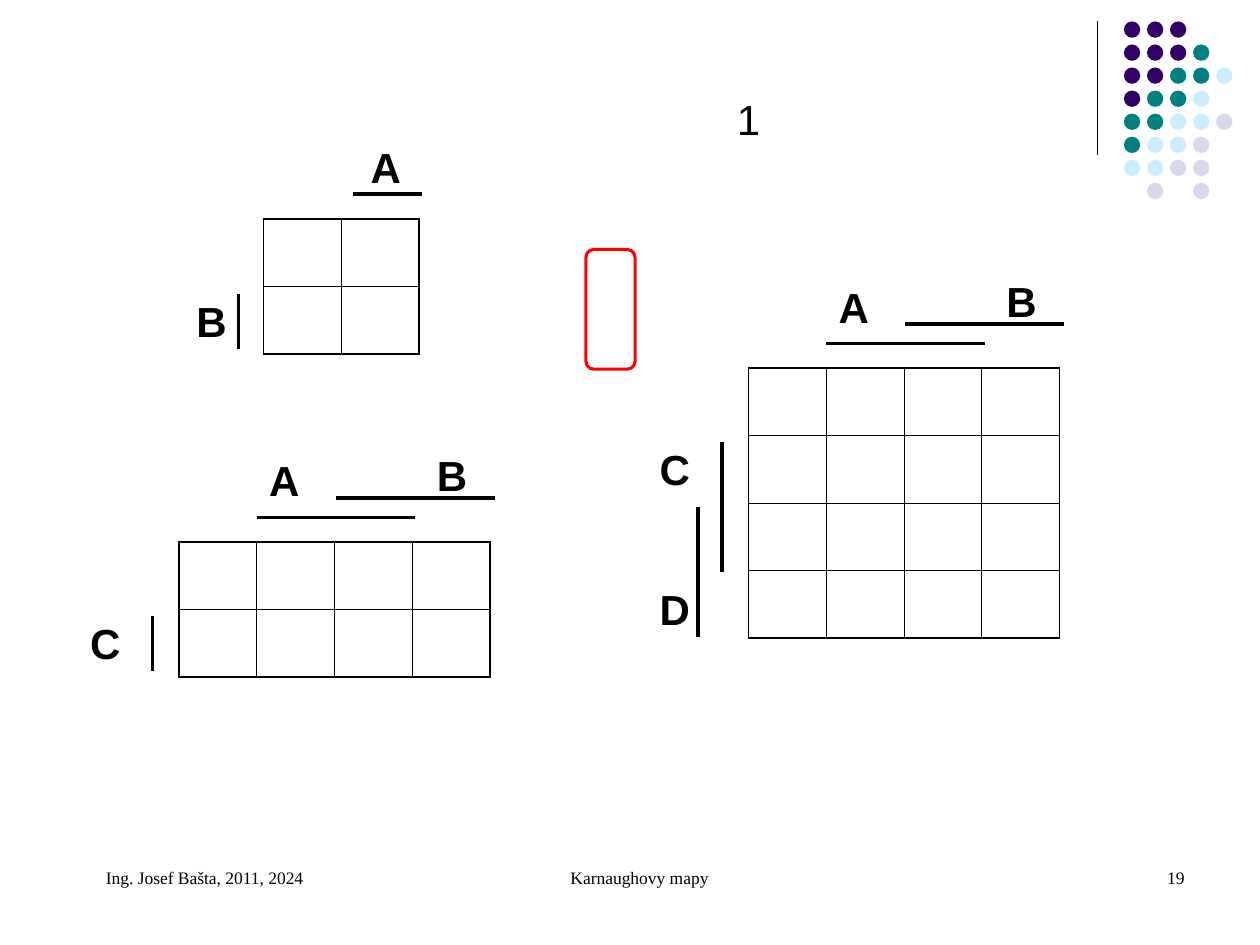
from pptx import Presentation
from pptx.dml.color import RGBColor
from pptx.enum.shapes import MSO_CONNECTOR as Connector, MSO_SHAPE as Shape
from pptx.enum.text import MSO_ANCHOR as Anchor, PP_ALIGN as Align
from pptx.oxml import parse_xml
from pptx.oxml.ns import nsdecls
from pptx.util import Inches, Pt

COLUMNS, ROWS = 100, 75
UNIT = Inches(0.1)
CELL_WIDTH, CELL_HEIGHT = 6.17, 5.36
INK = "000000"

LABEL = {"name": "Arial", "size": Pt(24), "bold": True}
NUMBER = {"name": "Arial", "size": Pt(24)}
FOOTER = {"name": "Times New Roman", "size": Pt(10)}

DOT_COLOURS = {"P": "330066", "T": "008080", "L": "CCECFF", "G": "D8D8EC"}
DOT_ROWS = ["PPP", "PPPT", "PPTTL", "PTTL", "TTLLG", "TLLG", "LLGG", " G G"]
DOT_PITCH, DOT_SIZE = 1.83, 1.3

# Bars (column, row, column, row) and labels (column, row) count in map cells.
A_BAR, B_BAR = (1, -0.36, 3.04, -0.36), (2.02, -0.65, 4.06, -0.65)
A_LABEL, B_LABEL = ("A", 1, -1.38), ("B", 3.16, -1.46)
C_LABEL = ("C", -1.3, 1.03)
MAPS = [
    {"origin": (59.4, 29.2), "size": (4, 4),
     "bars": [A_BAR, B_BAR, (-0.34, 1.1, -0.34, 3.02), (-0.65, 2.06, -0.65, 3.98)],
     "labels": [A_LABEL, B_LABEL, C_LABEL, ("D", -1.3, 3.1)]},
    {"origin": (14.2, 43), "size": (4, 2),
     "bars": [A_BAR, B_BAR, (-0.34, 1.1, -0.34, 1.92)],
     "labels": [A_LABEL, B_LABEL, C_LABEL]},
    {"origin": (20.9, 17.4), "size": (2, 2),
     "bars": [(1.15, -0.37, 2.04, -0.37), (-0.32, 1.1, -0.32, 1.92)],
     "labels": [("A", 1.22, -1.25), ("B", -1.02, 1.03)]},
]


def colour(value):
    return RGBColor.from_string(value)


def units(*lengths):
    return [round(length * UNIT) for length in lengths]


class SlideBuilder:
    """Draws on one slide; lengths are in grid columns and rows."""

    def __init__(self, slide):
        self.shapes = slide.shapes

    def line(self, start_x, start_y, end_x, end_y, weight):
        line = self.shapes.add_connector(
            Connector.STRAIGHT, *units(start_x, start_y, end_x, end_y))
        line.line.color.rgb = colour(INK)
        line.line.width = Pt(weight)
        line._element.spPr.append(parse_xml(f"<a:effectLst {nsdecls('a')}/>"))

    def dot(self, left, top, fill):
        dot = self.shapes.add_shape(Shape.OVAL, *units(left, top, DOT_SIZE, DOT_SIZE))
        dot.shadow.inherit = False
        dot.fill.solid()
        dot.fill.fore_color.rgb = colour(fill)
        dot.line.fill.background()

    def outline(self, left, top, width, height, line_colour):
        frame = self.shapes.add_shape(
            Shape.ROUNDED_RECTANGLE, *units(left, top, width, height))
        frame.shadow.inherit = False
        frame.adjustments[0] = 0.16
        frame.fill.background()
        frame.line.color.rgb = colour(line_colour)
        frame.line.width = Pt(1.75)

    def text(self, box, text, style, align=Align.LEFT, anchor=Anchor.TOP,
             indent=0, right_inset=1):
        frame = self.shapes.add_textbox(*units(*box)).text_frame
        layout = {"word_wrap": True, "vertical_anchor": anchor,
                  "margin_left": units(1 + indent)[0],
                  "margin_right": units(right_inset)[0]}
        for name, value in layout.items():
            setattr(frame, name, value)
        paragraph = frame.paragraphs[0]
        paragraph.alignment = align
        run = paragraph.add_run()
        run.text = text
        for name, value in style.items():
            setattr(run.font, name, value)
        run.font.color.rgb = colour(INK)

    def table(self, left, top, columns, rows):
        """Empty grid with a thin inner and a thicker outer border."""
        table = self.shapes.add_table(rows, columns, *units(
            left, top, columns * CELL_WIDTH, rows * CELL_HEIGHT)).table
        table.first_row = table.horz_banding = False
        for column in table.columns:
            column.width = units(CELL_WIDTH)[0]
        for row_index, row in enumerate(table.rows):
            row.height = units(CELL_HEIGHT)[0]
            for column_index, cell in enumerate(row.cells):
                outer = {"L": column_index == 0, "R": column_index == columns - 1,
                         "T": row_index == 0, "B": row_index == rows - 1}
                for side, is_outer in outer.items():
                    self.border(cell, side, 1.08 if is_outer else 0.45)
                cell.fill.background()

    def border(self, cell, side, weight):
        cell._tc.get_or_add_tcPr().append(parse_xml(
            f'<a:ln{side} {nsdecls("a")} w="{Pt(weight)}"><a:solidFill>'
            f'<a:srgbClr val="{INK}"/></a:solidFill></a:ln{side}>'))

    def karnaugh_map(self, origin, size, bars, labels):
        left, top = origin

        def place(column, row):
            return left + column * CELL_WIDTH, top + row * CELL_HEIGHT

        self.table(left, top, *size)
        for bar in bars:
            self.line(*place(*bar[:2]), *place(*bar[2:]), 2)
        for letter, column, row in labels:
            self.text((*place(column, row), 4.7, 5), letter, LABEL,
                      anchor=Anchor.BOTTOM)


def main():
    presentation = Presentation()
    presentation.slide_width, presentation.slide_height = units(COLUMNS, ROWS)
    builder = SlideBuilder(presentation.slides.add_slide(presentation.slide_layouts[6]))

    builder.line(87.1, 1.7, 87.1, 12.3, 0.75)
    for row, dots in enumerate(DOT_ROWS):
        for column, key in enumerate(dots):
            if key in DOT_COLOURS:
                builder.dot(89.2 + column * DOT_PITCH, 1.7 + row * DOT_PITCH,
                            DOT_COLOURS[key])

    for karnaugh_map in MAPS:
        builder.karnaugh_map(**karnaugh_map)

    builder.text((56.3, 6.8, 6.2, 5.3), "1", NUMBER, Align.CENTER, Anchor.MIDDLE)
    builder.outline(46.5, 19.8, 3.9, 9.5, "FF0000")

    builder.text((34.2, 68.3, 31.7, 5), "Karnaughovy mapy", FOOTER, Align.CENTER,
                 indent=2.4, right_inset=2)
    builder.text((71.7, 68.3, 23.3, 5), "19", FOOTER, Align.RIGHT, indent=2.4)
    builder.text((5, 68.3, 23.3, 5), "Ing. Josef Bašta, 2011, 2024", FOOTER, indent=2.4)

    presentation.save("out.pptx")


if __name__ == "__main__":
    main()
